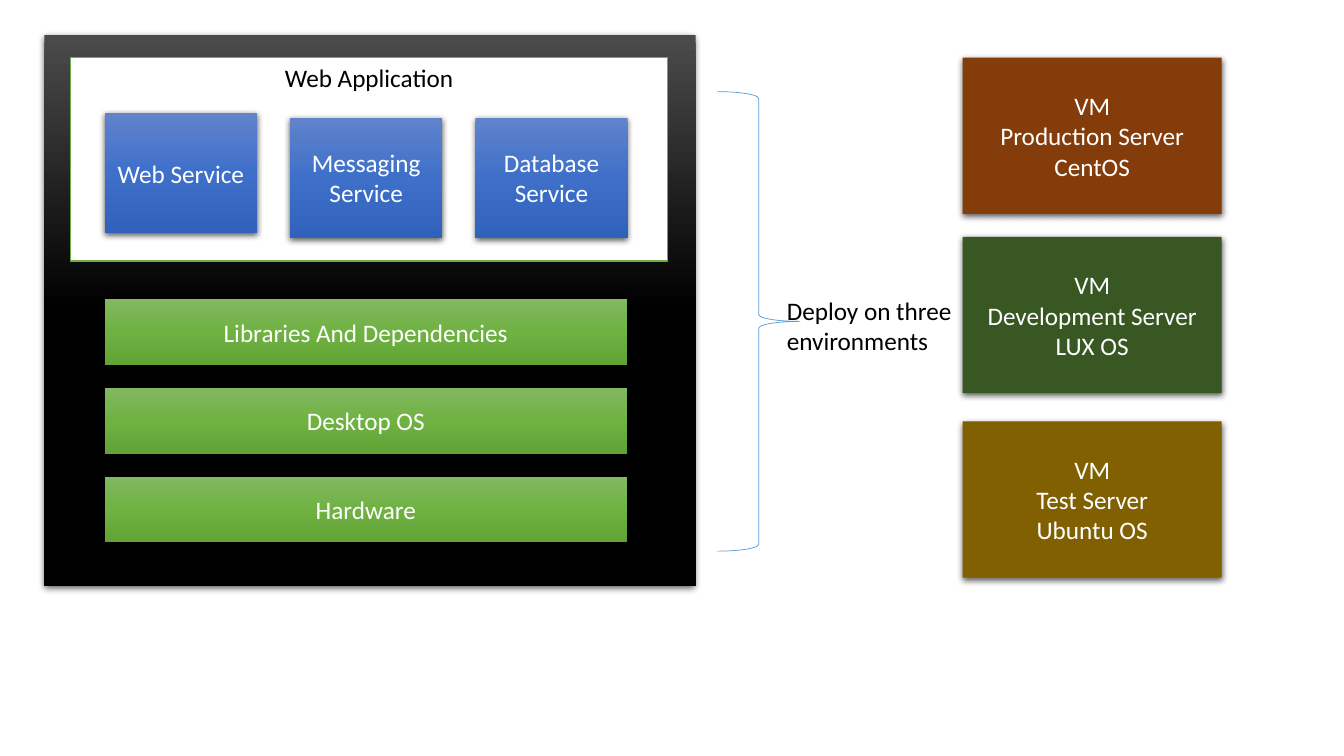
from copy import deepcopy

from pptx import Presentation
from pptx import util as u
from pptx.dml.color import RGBColor
from pptx.enum import shapes, text
from pptx.oxml import parse_xml
from pptx.oxml.ns import nsdecls, qn

COLORS = {
    "white": "FFFFFF",
    "black": "000000",
    "app_border": "70AD47",
    "brace": "5B9BD5",
    "production": "843C0B",
    "development": "385723",
    "test": "806000",
}
GRADIENTS = {
    "panel": ["4B4B4B", "000000", "000000"],
    "service": ["6183CB", "3E70CA", "3062BB"],
    "layer": ["81B861", "6FB242", "62A336"],
}


def rgb(name):
    return RGBColor.from_string(COLORS[name])


def fill_gradient(shape, name):
    """Fill from top to bottom with three evenly spaced stops."""
    shape.fill.gradient()
    shape.fill.gradient_angle = 270
    stop_list = shape.fill._xPr.find(qn("a:gradFill")).find(qn("a:gsLst"))
    stop_list.append(deepcopy(stop_list[0]))
    for i, (stop, color) in enumerate(zip(shape.fill.gradient_stops, GRADIENTS[name])):
        stop.position = i / 2
        stop.color.rgb = RGBColor.from_string(color)


def add_shadow(shape):
    effects = shape._element.spPr.find(qn("a:effectLst"))
    effects.append(parse_xml(
        f'<a:outerShdw {nsdecls("a")} blurRad="57150" dist="19050" dir="5400000" '
        f'algn="ctr" rotWithShape="0"><a:srgbClr val="{COLORS["black"]}">'
        '<a:alpha val="63000"/></a:srgbClr></a:outerShdw>'))


def write(frame, wording, color, align):
    frame.word_wrap = True
    frame.text = wording
    for paragraph in frame.paragraphs:
        paragraph.alignment = align
        for run in paragraph.runs:
            run.font.name = "Calibri"
            run.font.size = u.Pt(18)
            run.font.color.rgb = rgb(color)


def add_block(slide, box, fill, wording="", text_color="white", border=None):
    """Draw a rectangle; one without a border casts a shadow."""
    block = slide.shapes.add_shape(shapes.MSO_SHAPE.RECTANGLE, *map(u.Cm, box))
    block.shadow.inherit = False
    if fill in GRADIENTS:
        fill_gradient(block, fill)
    else:
        block.fill.solid()
        block.fill.fore_color.rgb = rgb(fill)
    if border:
        block.line.color.rgb = rgb(border)
        block.line.width = u.Pt(1)
    else:
        block.line.fill.background()
        add_shadow(block)
    if wording:
        write(block.text_frame, wording, text_color, text.PP_ALIGN.CENTER)
    return block


def add_web_application(slide, box):
    left, top, _, _ = box
    application = add_block(slide, box, "white", "Web Application", "black", "app_border")
    application.text_frame.vertical_anchor = text.MSO_ANCHOR.TOP
    services = [("Web Service", 1.4), ("Messaging Service", 1.52), ("Database Service", 1.52)]
    for i, (service, drop) in enumerate(services):
        add_block(slide, (left + 0.86 + 4.67 * i, top + drop, 3.84, 3.02), "service", service)


def add_host_stack(slide, box):
    left, top, width, _ = box
    add_block(slide, box, "panel")
    add_web_application(slide, (left + 0.66, top + 0.56, width - 1.37, 5.13))
    for i, layer in enumerate(["Libraries And Dependencies", "Desktop OS", "Hardware"]):
        add_block(slide, (left + 1.52, top + 6.65 + 2.24 * i, 13.16, 1.65), "layer", layer)


def add_deployment(slide, box):
    """Draw the brace and the label at its tip."""
    left, top, _, height = box
    brace = slide.shapes.add_shape(
        shapes.MSO_SHAPE.RIGHT_BRACE, *map(u.Cm, (left, top, 2.08, height)))
    brace.shadow.inherit = False
    brace.fill.background()
    brace.line.color.rgb = rgb("brace")
    brace.line.width = u.Pt(0.5)
    label = slide.shapes.add_textbox(*map(u.Cm, (left + 1.5, top + 5.01, 4.7, 1.8)))
    write(label.text_frame, "Deploy on three environments", "black", text.PP_ALIGN.LEFT)
    label.text_frame.auto_size = text.MSO_AUTO_SIZE.SHAPE_TO_FIT_TEXT


def add_servers(slide, box):
    left, top, width, _ = box
    servers = [
        ("production", "Production Server", "CentOS", 0),
        ("development", "Development Server", "LUX OS", 4.52),
        ("test", "Test Server", "Ubuntu OS", 9.17),
    ]
    for color, role, system, drop in servers:
        add_block(slide, (left, top + drop, width, 3.94), color, f"VM\n{role}\n{system}")


def main():
    deck = Presentation()
    deck.slide_width, deck.slide_height = u.Cm(33.87), u.Cm(19.05)
    slide = deck.slides.add_slide(deck.slide_layouts[6])
    add_host_stack(slide, (1.12, 0.89, 16.41, 13.89))
    add_servers(slide, (24.26, 1.45, 6.53, 13.11))
    add_deployment(slide, (18.08, 2.31, 6.2, 11.58))
    deck.save("out.pptx")


if __name__ == "__main__":
    main()
